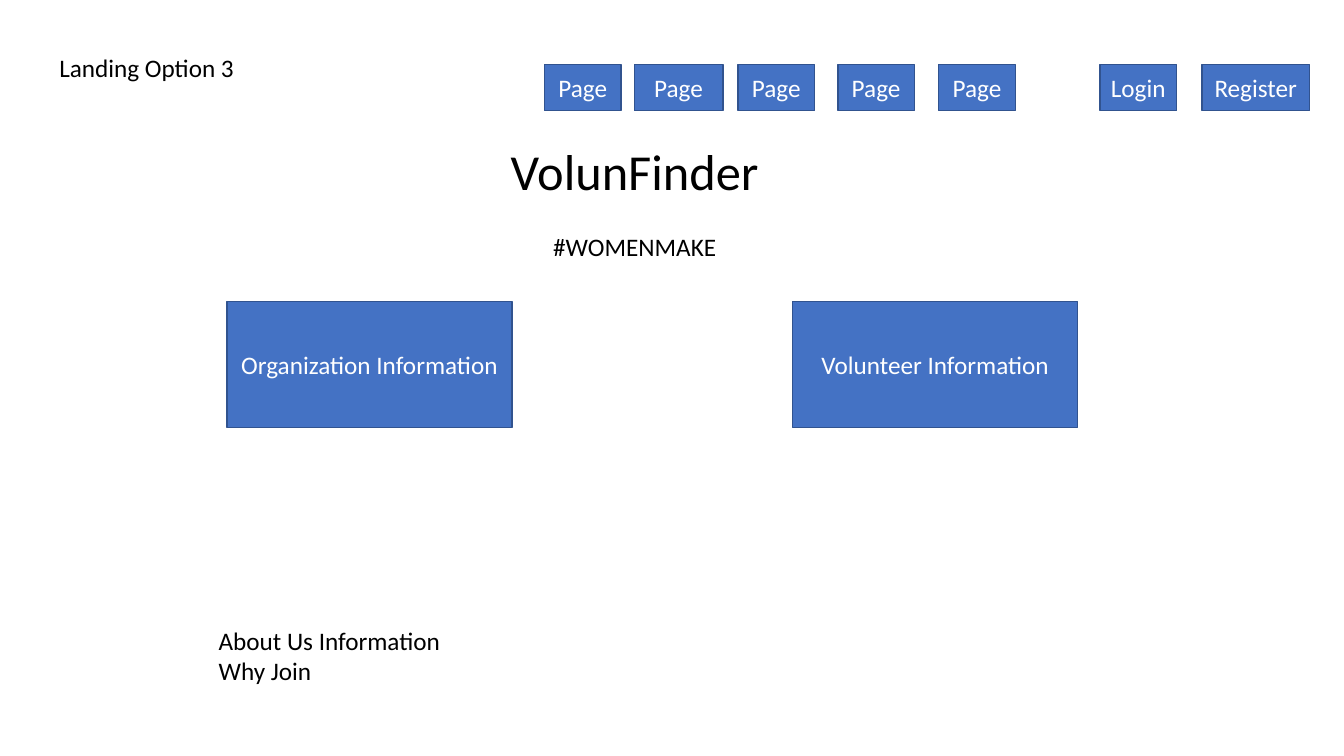
from pptx import Presentation
from pptx.dml.color import RGBColor
from pptx.enum.shapes import MSO_SHAPE
from pptx.enum.text import MSO_ANCHOR, PP_ALIGN
from pptx.util import Inches, Pt

BLUE = RGBColor(0x44, 0x72, 0xC4)
EDGE = RGBColor(0x31, 0x53, 0x8F)
WHITE = RGBColor(0xFF, 0xFF, 0xFF)
BLACK = RGBColor(0, 0, 0)
FONT = "Calibri"

# Label, left, width
NAV = [
    ("Page", 5.4, 0.76),
    ("Page", 6.29, 0.88),
    ("Page", 7.32, 0.76),
    ("Page", 8.31, 0.76),
    ("Page", 9.31, 0.76),
    ("Login", 10.91, 0.76),
    ("Register", 11.92, 1.07),
]
CARDS = [
    ("Organization Information", 2.25, 2.83),
    ("Volunteer Information", 7.86, 2.83),
]
# Button rows: items, top, height
ROWS = [(NAV, 0.64, 0.46), (CARDS, 2.99, 1.25)]

# Text boxes: place, alignment, lines of (text, size, space before)
TEXTS = [
    ((0.49, 0.47, 2.09, 0.4), PP_ALIGN.LEFT, [("Landing Option 3", 18, 0)]),
    ((3.32, 1.34, 5.95, 1.31), PP_ALIGN.CENTER,
     [("VolunFinder", 36, 0), ("#WOMENMAKE", 18, 22)]),
    ((2.07, 6.15, 8.62, 0.71), PP_ALIGN.LEFT,
     [("About Us Information", 18, 0), ("Why Join", 18, 0)]),
]


def write(frame, lines, align, color):
    frame.word_wrap = True
    for i, (text, size, space) in enumerate(lines):
        para = frame.add_paragraph() if i else frame.paragraphs[0]
        para.text = text
        para.alignment = align
        if space:
            para.space_before = Pt(space)
        para.font.name = FONT
        para.font.size = Pt(size)
        para.font.color.rgb = color


def add_button(slide, label, place):
    box = slide.shapes.add_shape(MSO_SHAPE.RECTANGLE, *map(Inches, place))
    box.shadow.inherit = False
    box.fill.solid()
    box.fill.fore_color.rgb = BLUE
    box.line.color.rgb = EDGE
    box.line.width = Pt(1)
    box.text_frame.vertical_anchor = MSO_ANCHOR.MIDDLE
    write(box.text_frame, [(label, 18, 0)], PP_ALIGN.CENTER, WHITE)


def main():
    deck = Presentation()
    deck.slide_width, deck.slide_height = Inches(13.33), Inches(7.5)
    slide = deck.slides.add_slide(deck.slide_layouts[6])
    for items, top, height in ROWS:
        for label, left, width in items:
            add_button(slide, label, (left, top, width, height))
    for place, align, lines in TEXTS:
        box = slide.shapes.add_textbox(*map(Inches, place))
        write(box.text_frame, lines, align, BLACK)
    deck.save("out.pptx")


if __name__ == "__main__":
    main()
